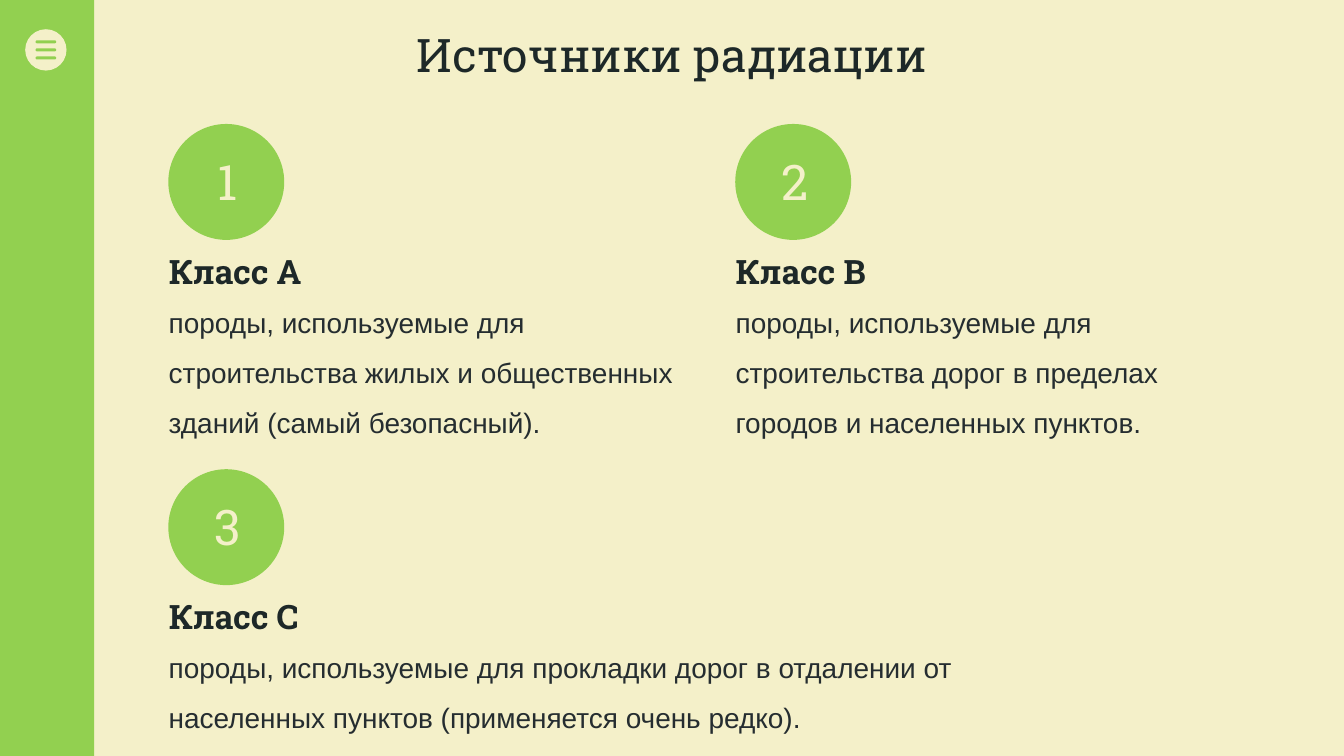
"""Build the slide on the classes of radiation sources."""
from pptx import Presentation
from pptx import util as u
from pptx.dml.color import RGBColor
from pptx.enum import shapes, text

TITLE = "Источники радиации"
CLASSES = [
    ("1", "Класс A", "породы, используемые для строительства жилых и общественных "
     "зданий (самый безопасный).", {"column": 0, "row": 0, "width": 10.34, "height": 3.01}),
    ("2", "Класс B", "породы, используемые для строительства дорог в пределах "
     "городов и населенных пунктов.", {"column": 1, "row": 0, "width": 10.34, "height": 3.01}),
    ("3", "Класс C", "породы, используемые для прокладки дорог в отдалении от "
     "населенных пунктов (применяется очень редко).",
     {"column": 0, "row": 1, "width": 17.8, "height": 2}),
]

GREEN = RGBColor(0x92, 0xD0, 0x50)
CREAM = RGBColor(0xF4, 0xF0, 0xC9)
DARK = RGBColor(0x1D, 0x28, 0x28)
GREY = RGBColor(0x25, 0x2D, 0x30)
SLAB, SANS = "Roboto Slab", "Arial"

WIDTH, HEIGHT = 26.67, 15
SIDEBAR = 0.07 * WIDTH
LEFT, TOP = 3.3, 2.46
COLUMN_STEP, ROW_STEP = 11.25, 6.85
CIRCLE = 2.3
MENU_LEFT, MENU_TOP, MENU_SIZE = 0.5, 0.58, 0.82
BAR_WIDTH, BAR_HEIGHT, BAR_STEP = 0.41, 0.06, 0.16


def inches(*lengths):
    return [u.Inches(length) for length in lengths]


def add_figure(parent, kind, box, color):
    shape = parent.add_shape(kind, *inches(*box))
    shape.shadow.inherit = False
    shape.fill.solid()
    shape.fill.fore_color.rgb = color
    shape.line.fill.background()
    return shape


def write(shape, content, size, font=SLAB, color=DARK, bold=False, spacing=0.9,
          align=text.PP_ALIGN.LEFT, inset=0.05, wrap=True):
    frame = shape.text_frame
    frame.word_wrap = wrap
    frame.auto_size = text.MSO_AUTO_SIZE.NONE
    frame.vertical_anchor = text.MSO_ANCHOR.TOP
    frame.margin_left = frame.margin_right = u.Inches(inset)
    frame.margin_top = frame.margin_bottom = u.Inches(0.05)
    paragraph = frame.paragraphs[0]
    paragraph.alignment = align
    paragraph.line_spacing = spacing
    run = paragraph.add_run()
    run.text = content
    run.font.size = u.Pt(size)
    run.font.name = font
    run.font.bold = bold
    run.font.color.rgb = color


def add_menu(slide):
    group = slide.shapes.add_group_shape().shapes
    add_figure(group, shapes.MSO_SHAPE.OVAL,
               (MENU_LEFT, MENU_TOP, MENU_SIZE, MENU_SIZE), CREAM)
    left = MENU_LEFT + (MENU_SIZE - BAR_WIDTH) / 2
    middle = MENU_TOP + (MENU_SIZE - BAR_HEIGHT) / 2
    for step in (-1, 0, 1):
        bar = add_figure(group, shapes.MSO_SHAPE.ROUNDED_RECTANGLE,
                         (left, middle + step * BAR_STEP, BAR_WIDTH, BAR_HEIGHT), GREEN)
        bar.adjustments[0] = 0.5


def add_class(slide, number, heading, description, place):
    left = LEFT + place["column"] * COLUMN_STEP
    top = TOP + place["row"] * ROW_STEP
    group = slide.shapes.add_group_shape().shapes
    write(group.add_textbox(*inches(left, top + 2.56, 7.52, 0.83)), heading, 48, bold=True)
    write(group.add_textbox(*inches(left - 0.05, top + 3.21, place["width"], place["height"])),
          description, 40, font=SANS, color=GREY, spacing=1.5, inset=0.1)
    add_figure(group, shapes.MSO_SHAPE.OVAL, (left + 0.04, top, CIRCLE, CIRCLE), GREEN)
    write(group.add_textbox(*inches(left + 0.9, top + 0.62, 0.64, 1.16)), number, 70,
          color=CREAM, align=text.PP_ALIGN.CENTER, wrap=False)


def main():
    presentation = Presentation()
    presentation.slide_width, presentation.slide_height = inches(WIDTH, HEIGHT)
    slide = presentation.slides.add_slide(presentation.slide_layouts[5])
    slide.background.fill.solid()
    slide.background.fill.fore_color.rgb = CREAM
    add_figure(slide.shapes, shapes.MSO_SHAPE.RECTANGLE, (0, 0, SIDEBAR, HEIGHT), GREEN)
    add_menu(slide)
    for entry in CLASSES:
        add_class(slide, *entry)
    title = slide.shapes.title
    title.left, title.top, title.width, title.height = inches(
        0.14 * WIDTH, 0.59, 0.72 * WIDTH, 1.1)
    write(title, TITLE, 66, align=text.PP_ALIGN.CENTER)
    presentation.save("out.pptx")


if __name__ == "__main__":
    main()
